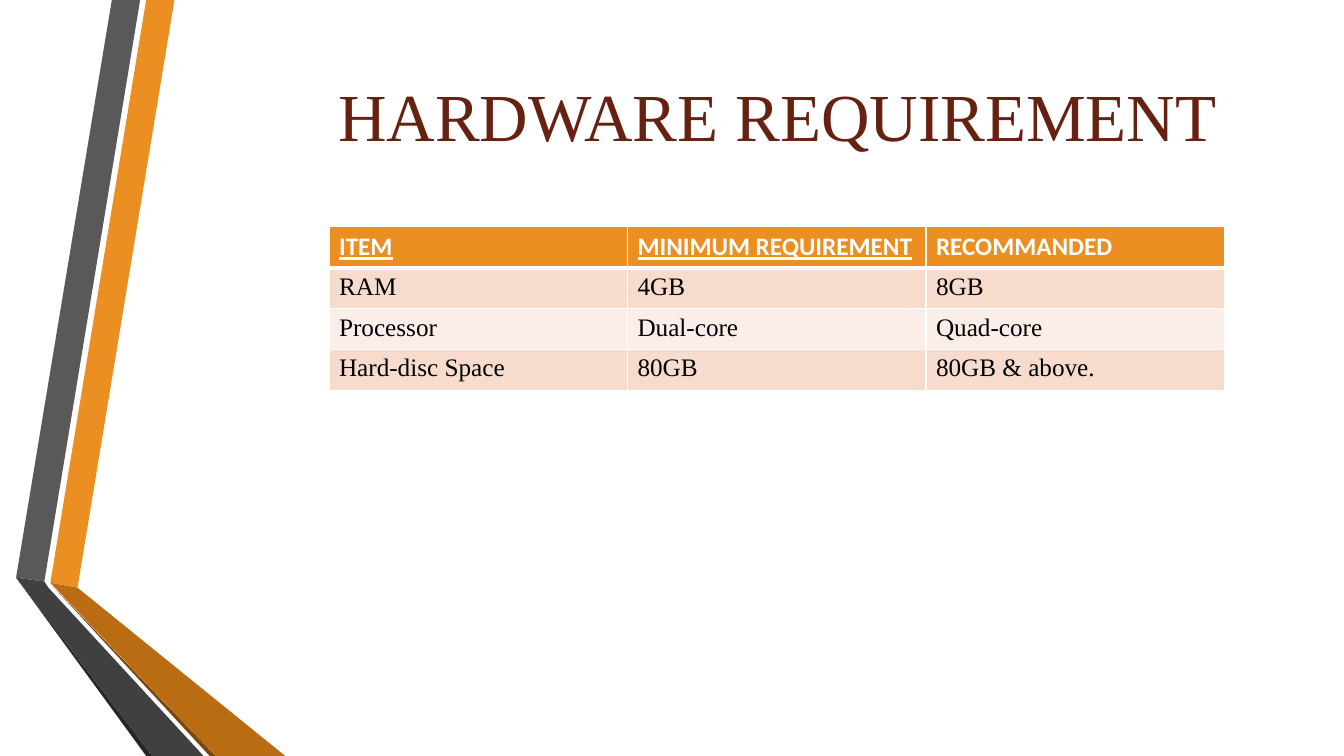
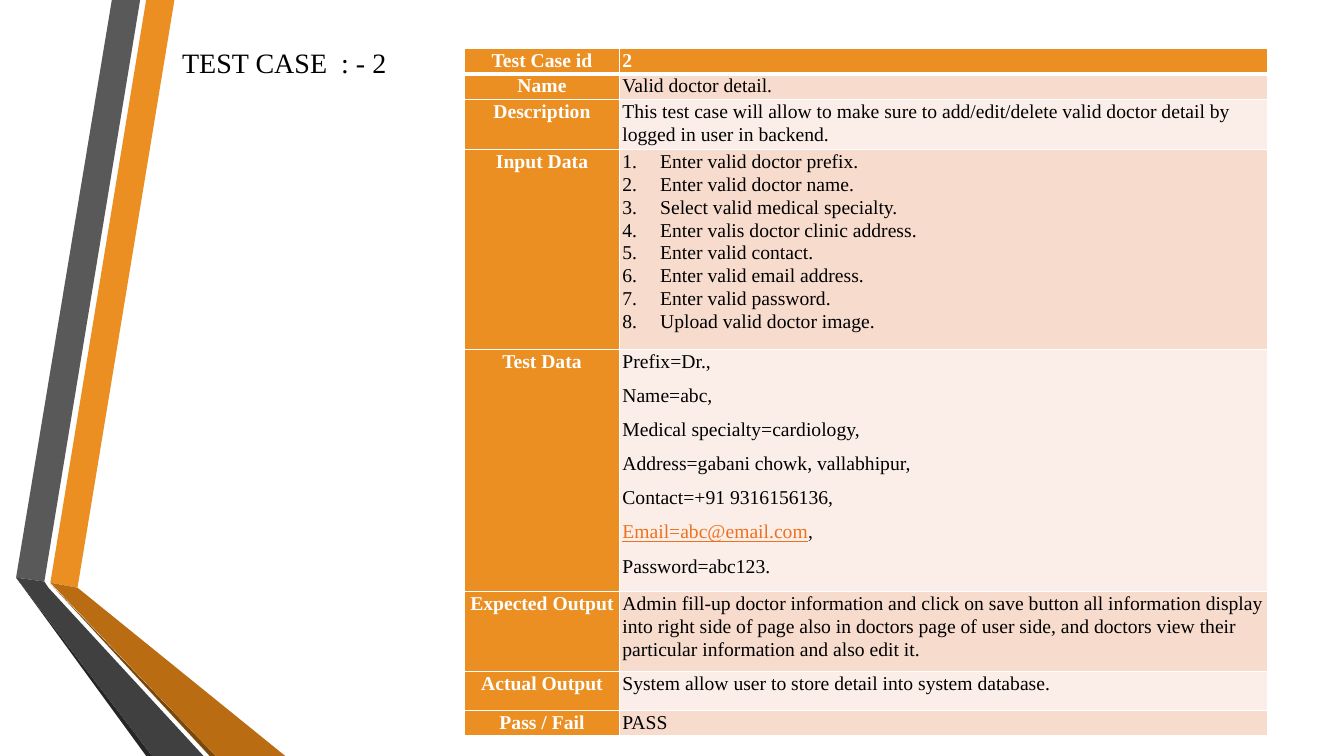
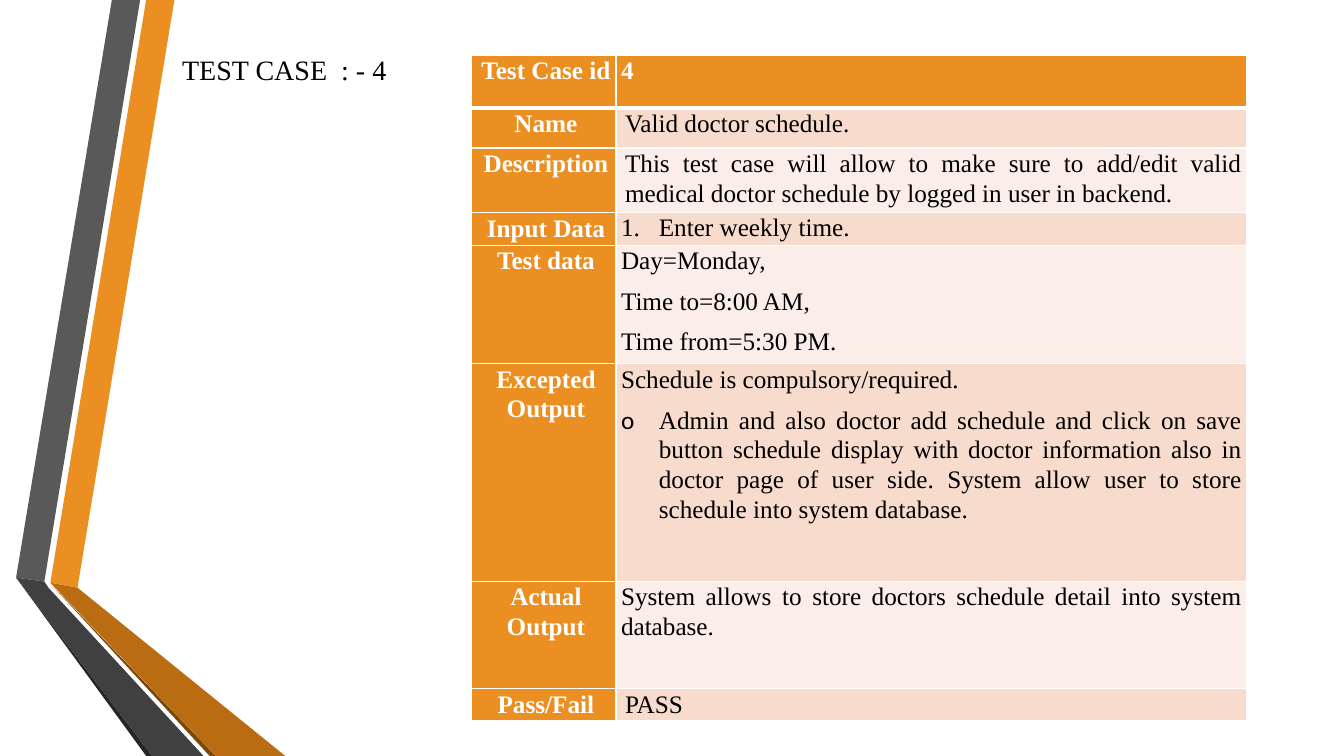
from dataclasses import dataclass

from lxml.etree import SubElement
from pptx import Presentation
from pptx.dml.color import RGBColor
from pptx.enum.text import MSO_ANCHOR, PP_ALIGN
from pptx.oxml.ns import qn
from pptx.util import Pt


@dataclass(frozen=True)
class Theme:
    orange: str = "EB8F22"
    amber: str = "B96C11"
    brown: str = "7B480B"
    gray: str = "595959"
    charcoal: str = "404040"
    coal: str = "262626"
    maroon: str = "662111"
    link: str = "EC7220"
    white: str = "FFFFFF"
    black: str = "000000"
    stripes: tuple = ("FBEEE8", "F7DBCD")
    serif: str = "Times New Roman"
    sans: str = "Calibri"
    title: int = 48
    heading: int = 20
    body: int = 18
    small: int = 14
    rule: int = 1
    heavy_rule: int = 3


theme = Theme()

# Paragraph styles; indent is (left, first line), bullet is "1." or a character
PLAIN = {"alignment": PP_ALIGN.LEFT}
CENTER = {"alignment": PP_ALIGN.CENTER}
LEFT = {**PLAIN, "line_spacing": 1.07, "space_after": Pt(8)}
LABEL = {**LEFT, **CENTER}
JUSTIFIED = {**LEFT, "alignment": PP_ALIGN.JUSTIFY}
ENTRY = {**JUSTIFIED, "line_spacing": 1.06}
PADDED = {**JUSTIFIED, "indent": (2.9, 0)}
PADDED_LABEL = {**LABEL, "indent": (2.9, 0)}
LAST_STEP = {**ENTRY, "indent": (27, -27), "bullet": "1."}
STEP = {**LAST_STEP, "space_after": Pt(0)}
POINT = {**JUSTIFIED, "indent": (27, -27), "bullet": "o"}


def write(para, style, spans, size):
    """Style a paragraph and fill it with spans of (text, colour, font format)."""
    style = dict(style)
    properties = para._p.get_or_add_pPr()
    left, first = style.pop("indent", (0, 0))
    properties.set("marL", str(Pt(left)))
    properties.set("indent", str(Pt(first)))
    bullet = style.pop("bullet", None)
    if bullet == "1.":
        SubElement(properties, qn("a:buAutoNum"), type="arabicPeriod")
    elif bullet:
        SubElement(properties, qn("a:buFont"), typeface=theme.sans)
        SubElement(properties, qn("a:buChar"), char=bullet)
    for name, value in style.items():
        setattr(para, name, value)
    for text, color, font_format in spans:
        span = para.add_run()
        span.text = text
        span.font.color.rgb = RGBColor.from_string(color)
        for name, value in {"name": theme.serif, "size": Pt(size), **font_format}.items():
            setattr(span.font, name, value)


def paint(cell, color, widths):
    """Give a cell white borders of the given left, right, top, bottom widths, and a fill."""
    properties = cell._tc.get_or_add_tcPr()
    for side, width in zip(("lnL", "lnR", "lnT", "lnB"), widths):
        line = SubElement(properties, qn(f"a:{side}"), w=str(Pt(width)))
        fill = SubElement(line, qn("a:solidFill"))
        SubElement(fill, qn("a:srgbClr"), val=theme.white)
    cell.fill.solid()
    cell.fill.fore_color.rgb = RGBColor.from_string(color)


BANDS = [
    (theme.orange, [(36, 416.2), (55.4, 419.8), (124.6, 0), (104.4, 0)]),
    (theme.gray, [(100.1, 0), (79.9, 0), (11.5, 412.6), (31.7, 415.4)]),
    (theme.coal, [(11.5, 412.6), (104.4, 540), (108.7, 540)]),
    (theme.brown, [(36, 416.9), (149.8, 540), (154.1, 540)]),
    (theme.amber, [(36, 416.2), (154.1, 540), (203.8, 540), (55.4, 419.8)]),
    (theme.charcoal, [(145.4, 540), (34.6, 419.8), (31.7, 415.4), (11.5, 412.6), (108.7, 540)]),
]

# Each cell is a list of (style, text); a text pair is a link and what follows it
HARDWARE = [
    [[(PLAIN, text)] for text in row]
    for row in (
        ("ITEM", "MINIMUM REQUIREMENT", "RECOMMANDED"),
        ("RAM", "4GB", "8GB"),
        ("Processor", "Dual-core", "Quad-core"),
        ("Hard-disc Space", "80GB", "80GB & above."),
    )
]

DOCTOR_STEPS = [
    "Enter valid doctor prefix.",
    "Enter valid doctor name.",
    "Select valid medical specialty.",
    "Enter valis doctor clinic address.",
    "Enter valid contact.",
    "Enter valid email address.",
    "Enter valid password.",
]
DOCTOR_ENTRIES = [
    "Prefix=Dr.,",
    "Name=abc,",
    "Medical specialty=cardiology,",
    "Address=gabani chowk, vallabhipur,",
    "Contact=+91 9316156136,",
    ("Email=abc@email.com", ","),
]
DOCTOR_CASE = [
    ("Test Case id", [(LEFT, "2")]),
    ("Name", [(LEFT, "Valid doctor detail.")]),
    ("Description", [(LEFT, "This test case will allow to make sure to add/edit/delete valid "
                            "doctor detail by logged in user in backend.")]),
    ("Input Data", [(STEP, text) for text in DOCTOR_STEPS]
     + [(LAST_STEP, "Upload valid doctor image.")]),
    ("Test Data", [(ENTRY, text) for text in DOCTOR_ENTRIES] + [(LEFT, "Password=abc123.")]),
    ("Expected Output", [(LEFT, "Admin fill-up doctor information and click on save button all "
                                "information display into right side of page also in doctors page "
                                "of user side, and doctors view their particular information and "
                                "also edit it.")]),
    ("Actual Output", [(LEFT, "System allow user to store detail into system database.")]),
    ("Pass / Fail", [(LEFT, "PASS")]),
]
SCHEDULE_CASE = [
    ("Test Case id", [(LEFT, "4")]),
    ("Name", [(PADDED, "Valid doctor schedule.")]),
    ("Description", [(PADDED, "This test case will allow to make sure to add/edit valid medical "
                              "doctor schedule by logged in user in backend.")]),
    ("Input Data", [(LAST_STEP, "Enter weekly time.")]),
    ("Test data", [(ENTRY, text) for text in
                   ("Day=Monday,", "Time to=8:00 AM,", "Time from=5:30 PM.")]),
    ("Excepted Output", [
        (JUSTIFIED, "Schedule is compulsory/required."),
        (POINT, "Admin and also doctor add schedule and click on save button schedule display "
                "with doctor information also in doctor page of user side. System allow user to "
                "store schedule into system database."),
    ]),
    ("Actual Output", [(JUSTIFIED, "System allows to store doctors schedule detail into system "
                                   "database.")]),
    ("Pass/Fail", [(PADDED, "PASS")]),
]

PAGES = [
    {
        "heading": "HARDWARE REQUIREMENT", "box": (204.5, 54.7, 702, 54.7),
        "heading_look": (CENTER, theme.maroon, theme.title),
        "corner": (235, 162), "widths": [213.2] * 3, "heights": [29.2] * 4,
        "margins": (7.2, 3.6), "size": theme.body, "rows": HARDWARE,
        "head_font": theme.sans, "underlined": 2, "labels": False,
    },
    {
        "heading": "TEST CASE  : - 2", "box": (123, 28.8, 164, 31.7),
        "heading_look": (PLAIN, theme.black, theme.heading),
        "corner": (332, 34.6), "widths": [110.4, 463.2],
        "heights": [17.5, 18.2, 35.7, 142.9, 172.1, 57.1, 27.9, 17.9],
        "margins": (2.2, 0), "size": theme.small,
        "rows": [([(LABEL, label)], content) for label, content in DOCTOR_CASE],
        "head_font": theme.serif, "underlined": 0, "labels": True,
    },
    {
        "heading": "TEST CASE  : - 4", "box": (123, 33.8, 164, 31.7),
        "heading_look": (PLAIN, theme.black, theme.heading),
        "corner": (337, 39.6), "widths": [103, 450.7],
        "heights": [37.5, 28.6, 46.1, 23.2, 84.3, 155.4, 76.8, 22.9],
        "margins": (3.6, 0), "size": theme.body,
        "rows": [([(PADDED_LABEL, label)], content) for label, content in SCHEDULE_CASE],
        "head_font": theme.serif, "underlined": 0, "labels": True,
    },
]

deck = Presentation()
deck.slide_width, deck.slide_height = Pt(960), Pt(540)
blank = deck.slide_layouts[6]
for placeholder in list(blank.placeholders):
    blank.shapes.element.remove(placeholder.element)
pages = [deck.slides.add_slide(blank) for _ in PAGES]

# The bands are drawn once, then moved to the layout that all pages share
for color, points in BANDS:
    start, *others = [(Pt(x), Pt(y)) for x, y in points]
    builder = pages[0].shapes.build_freeform(*start)
    builder.add_line_segments(others, close=True)
    band = builder.convert_to_shape()
    band.shadow.inherit = False
    band.fill.solid()
    band.fill.fore_color.rgb = RGBColor.from_string(color)
    band.line.fill.background()
    blank.shapes.element.append(band.element)

for page, content in zip(pages, PAGES):
    style, color, size = content["heading_look"]
    box = page.shapes.add_textbox(*map(Pt, content["box"]))
    box.text_frame.word_wrap = True
    box.text_frame.vertical_anchor = MSO_ANCHOR.MIDDLE
    write(box.text_frame.paragraphs[0], style, [(content["heading"], color, {})], size)

    widths, heights = content["widths"], content["heights"]
    frame = page.shapes.add_table(
        len(heights), len(widths), *map(Pt, content["corner"]), Pt(sum(widths)), Pt(sum(heights)))
    table = frame.table
    table.horz_banding = False
    table.first_col = content["labels"]
    for column, width in zip(table.columns, widths):
        column.width = Pt(width)
    for row, height in zip(table.rows, heights):
        row.height = Pt(height)

    side, edge = map(Pt, content["margins"])
    margins = {"margin_left": side, "margin_right": side,
               "margin_top": edge, "margin_bottom": edge}
    for r, row in enumerate(content["rows"]):
        top = theme.heavy_rule if r == 1 else theme.rule
        bottom = theme.heavy_rule if r == 0 else theme.rule
        for c, paragraphs in enumerate(row):
            cell = table.cell(r, c)
            is_head = r == 0 or (content["labels"] and c == 0)
            fill = theme.orange if is_head else theme.stripes[r % 2]
            paint(cell, fill, (theme.rule, theme.rule, top, bottom))
            for name, value in margins.items():
                setattr(cell, name, value)
            color = theme.white if is_head else theme.black
            font_format = {
                "name": content["head_font"] if is_head else theme.serif,
                "bold": is_head,
                "underline": r == 0 and c < content["underlined"],
            }
            for i, (style, text) in enumerate(paragraphs):
                para = cell.text_frame.add_paragraph() if i else cell.text_frame.paragraphs[0]
                if isinstance(text, tuple):
                    linked, text = text
                    spans = [(linked, theme.link, {**font_format, "underline": True})]
                else:
                    spans = []
                write(para, style, spans + [(text, color, font_format)], content["size"])

deck.save("out.pptx")
